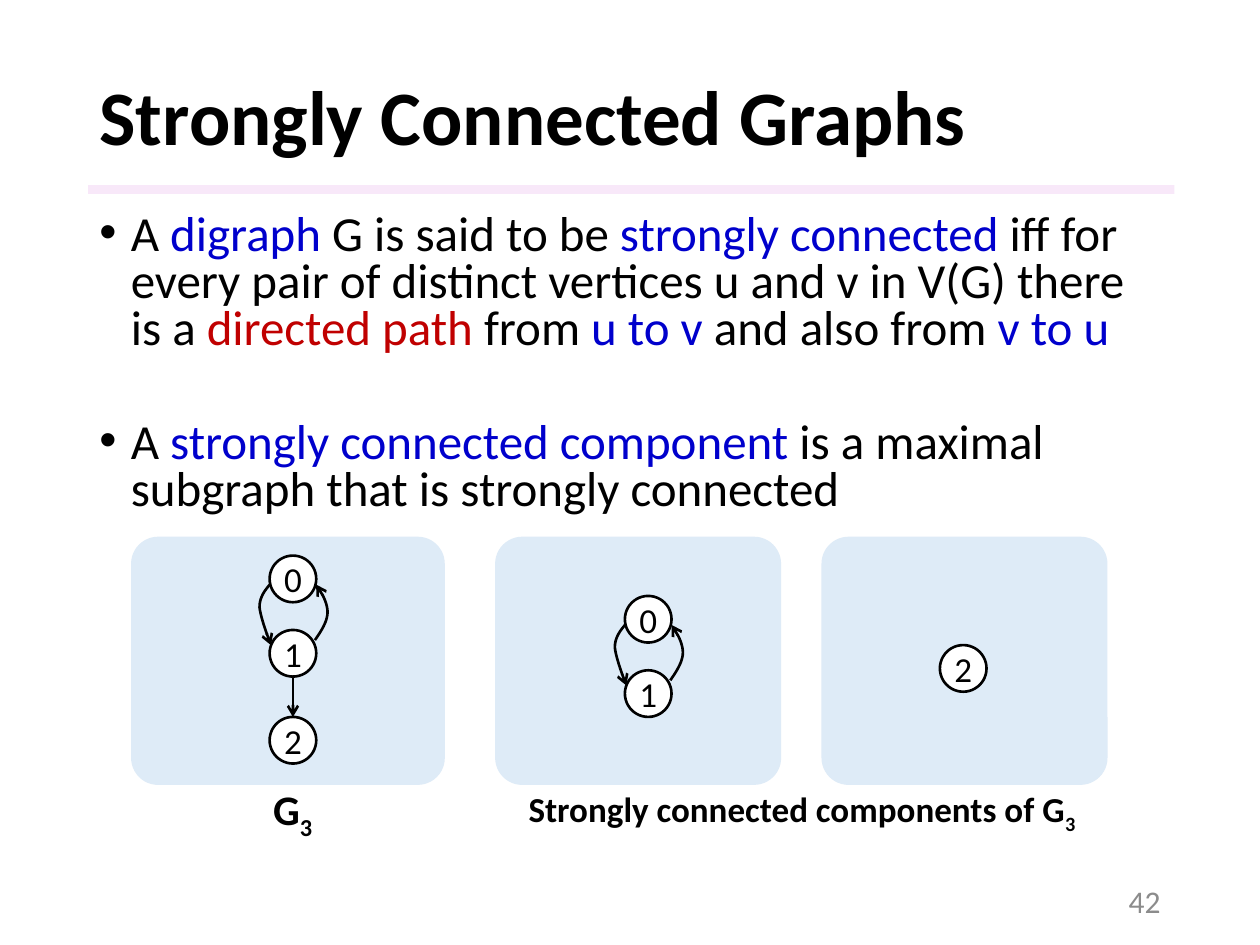
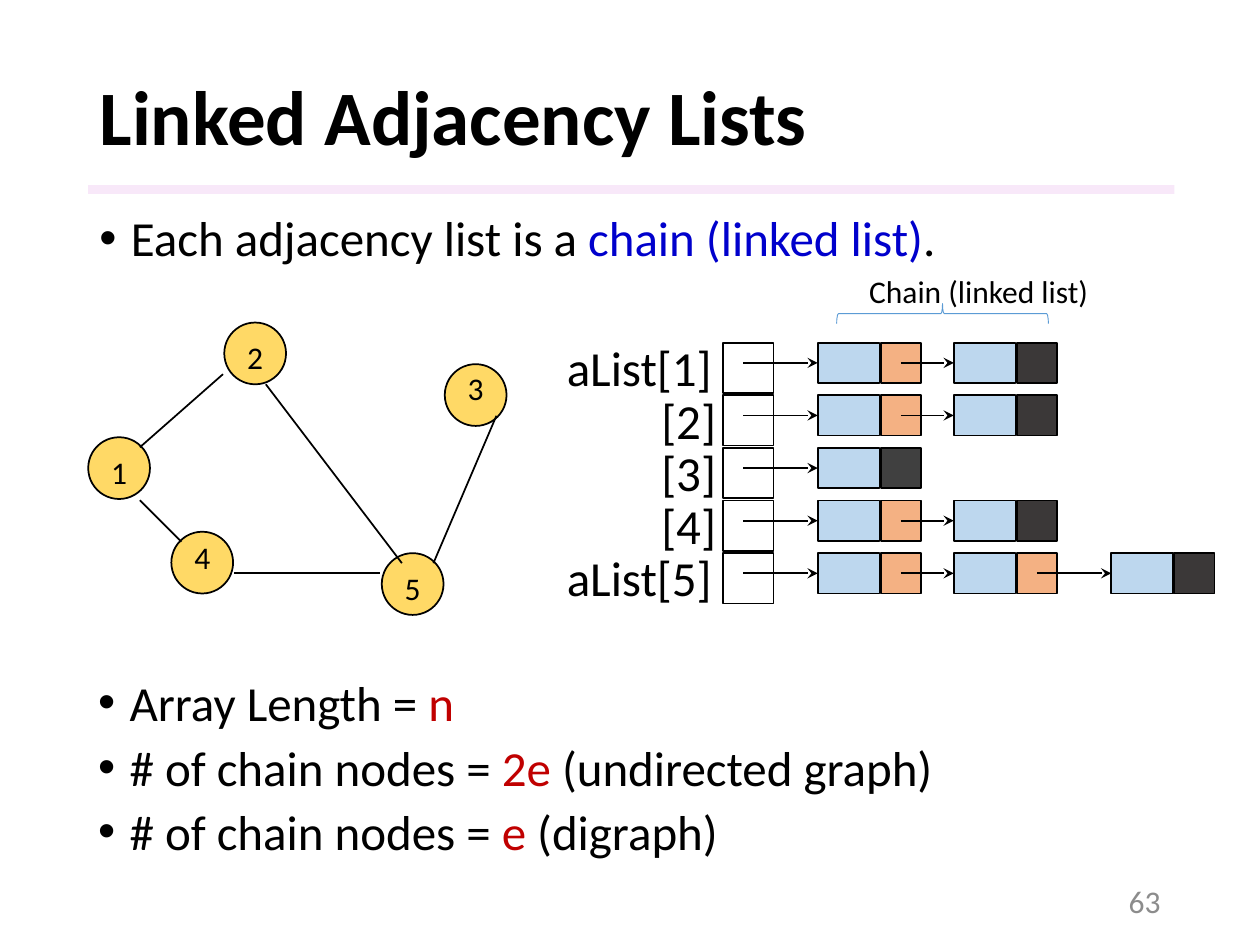
from lxml import etree
from pptx import Presentation
from pptx.dml.color import RGBColor
from pptx.enum import shapes, text
from pptx.oxml import ns
from pptx.util import Inches, Pt

FONT = "Calibri"
COLORS = {
    "ink": "000000", "blue": "0000CC", "red": "C00000", "gray": "8C8C8C",
    "band": "F3D2F4", "card": "DEEBF7", "white": "FFFFFF", "vertex": "FFD966",
    "data": "BDD7EE", "link": "F4B183", "end": "3B3838", "lone end": "404040",
    "brace": "5B9BD5",
}
SHAPE = shapes.MSO_SHAPE
ALIGN = text.PP_ALIGN
ANCHOR = text.MSO_ANCHOR


def rgb(name):
    return RGBColor.from_string(COLORS[name])


def sub_element(parent, tag, **attributes):
    return etree.SubElement(parent, ns.qn(tag), **attributes)


# Text
def style_font(font, size, color="ink", bold=False):
    font.name, font.size, font.bold = FONT, Pt(size), bold
    font.color.rgb = rgb(color)


def fill_paragraph(para, spans, size, color="ink", bold=False, align=None):
    """Spans are strings or (string, color); the color "sub" means subscript."""
    para.alignment = align
    style_font(para.font, size, color, bold)
    for item in [spans] if isinstance(spans, str) else spans:
        words, style = (item, None) if isinstance(item, str) else item
        span = para.add_run()
        span.text = words
        if style == "sub":
            span._r.get_or_add_rPr().set("baseline", "-25000")
        elif style:
            span.font.color.rgb = rgb(style)


def add_text(page, left, top, width, height, spans, size, wrap=True,
             anchor=ANCHOR.TOP, **style):
    box = page.shapes.add_textbox(*map(Inches, (left, top, width, height)))
    frame = box.text_frame
    frame.word_wrap, frame.vertical_anchor = wrap, anchor
    fill_paragraph(frame.paragraphs[0], spans, size, **style)


def add_bullets(page, left, top, height, items, line_spacing, gap=10):
    box = page.shapes.add_textbox(*map(Inches, (left, top, 8.62, height)))
    frame = box.text_frame
    frame.word_wrap = True
    for index, spans in enumerate(items):
        para = frame.add_paragraph() if index else frame.paragraphs[0]
        props = para._p.get_or_add_pPr()
        props.set("marL", str(Inches(0.25)))
        props.set("indent", str(-Inches(0.25)))
        sub_element(props, "a:buFont", typeface="Arial")
        sub_element(props, "a:buChar", char="•")
        para.line_spacing = line_spacing
        para.space_before = Pt(gap if index else 0)
        fill_paragraph(para, spans, 28)


# Shapes and lines
def add_block(page, kind, left, top, width, height, fill=None, line=None,
              weight=1, label=""):
    block = page.shapes.add_shape(kind, *map(Inches, (left, top, width, height)))
    block.shadow.inherit = False
    if fill:
        block.fill.solid()
        block.fill.fore_color.rgb = rgb(fill)
    else:
        block.fill.background()
    if line:
        block.line.color.rgb, block.line.width = rgb(line), Pt(weight)
    else:
        block.line.fill.background()
    if label:
        frame = block.text_frame
        frame.margin_left = frame.margin_right = 0
        frame.vertical_anchor, frame.word_wrap = ANCHOR.MIDDLE, False
        fill_paragraph(frame.paragraphs[0], label, 20, align=ALIGN.CENTER)
    return block


def style_line(shape, weight, head):
    shape.line.color.rgb, shape.line.width = rgb("ink"), Pt(weight)
    if head:
        sub_element(shape.line._get_or_add_ln(), "a:tailEnd", type=head)


def add_line(page, start, finish, weight=1, head=None):
    line = page.shapes.add_connector(shapes.MSO_CONNECTOR.STRAIGHT,
                                     *map(Inches, (*start, *finish)))
    style_line(line, weight, head)
    sub_element(line._element.spPr, "a:effectLst")


def add_curve(page, left, top, points, steps=10):
    """Draw joined cubic curves through points given from (left, top)."""
    track = [points[0]]
    for first in range(0, len(points) - 1, 3):
        knots = points[first:first + 4]
        for step in range(1, steps + 1):
            t = step / steps
            weights = ((1 - t) ** 3, 3 * t * (1 - t) ** 2, 3 * t * t * (1 - t), t ** 3)
            track.append(tuple(sum(w * knot[axis] for w, knot in zip(weights, knots))
                               for axis in (0, 1)))
    track = [(Inches(left + x), Inches(top + y)) for x, y in track]
    builder = page.shapes.build_freeform(*track[0])
    builder.add_line_segments(track[1:], close=False)
    curve = builder.convert_to_shape()
    curve.shadow.inherit = False
    curve.fill.background()
    style_line(curve, 1.5, "arrow")


# Frame shared by the slides
def add_page(deck, title, number):
    page = deck.slides.add_slide(deck.slide_layouts[5])
    band = add_block(page, SHAPE.RECTANGLE, 0.7, 1.47, 8.62, 0.07, "band")
    color = band._element.spPr.find(".//" + ns.qn("a:srgbClr"))
    sub_element(color, "a:alpha", val="50000")

    heading = page.shapes.title
    heading.left, heading.top, heading.width, heading.height = map(
        Inches, (0.69, 0.4, 8.62, 1.11))
    frame = heading.text_frame
    frame.auto_size = text.MSO_AUTO_SIZE.NONE
    frame.vertical_anchor = ANCHOR.MIDDLE
    frame.paragraphs[0].line_spacing = 0.9
    fill_paragraph(frame.paragraphs[0], title, 44, bold=True, align=ALIGN.LEFT)

    add_text(page, 7.06, 6.95, 2.25, 0.4, number, 18, color="gray",
             anchor=ANCHOR.MIDDLE, align=ALIGN.RIGHT)
    return page


# Strongly connected graphs
NODE = 0.37
DOWN_CURVE = [(0, 0.23), (-0.04, 0.28), (-0.08, 0.33), (-0.08, 0.41),
              (-0.07, 0.49), (-0.03, 0.6), (0.01, 0.71)]
UP_CURVE = [(0.36, 0.67), (0.41, 0.6), (0.46, 0.52), (0.46, 0.45),
            (0.46, 0.38), (0.42, 0.3), (0.37, 0.23)]


def draw_graph_card(page, left, width, node_left, node_tops):
    top = 4.26
    card = add_block(page, SHAPE.ROUNDED_RECTANGLE, left, top, width, 1.97, "card")
    card.adjustments[0] = 0.109
    x = left + node_left
    for label, offset in node_tops.items():
        add_block(page, SHAPE.OVAL, x, top + offset, NODE, NODE, "white", "ink",
                  1.5, label)
    if "0" in node_tops:
        for points in (UP_CURVE, DOWN_CURVE):
            add_curve(page, x, top + node_tops["0"], points)
    if "1" in node_tops and "2" in node_tops:
        middle = x + NODE / 2
        add_line(page, (middle, top + node_tops["1"] + NODE),
                 (middle, top + node_tops["2"]), 1.5, "arrow")


def build_connected_graphs(deck):
    page = add_page(deck, "Strongly Connected Graphs", "42")
    add_bullets(page, 0.69, 1.65, 2.61, [
        ["A ", ("digraph", "blue"), " G is said to be ",
         ("strongly connected ", "blue"),
         "iff for every pair of distinct vertices u and v in V(G) there is a ",
         ("directed path ", "red"), "from", (" u to v ", "blue"),
         "and also from", (" v to u", "blue")],
        ["A ", ("strongly connected component ", "blue"),
         "is a maximal subgraph that is strongly connected"],
    ], 0.8, gap=38)
    draw_graph_card(page, 1.04, 2.49, 1.1, {"0": 0.15, "1": 0.74, "2": 1.43})
    draw_graph_card(page, 3.93, 2.27, 1.03, {"0": 0.47, "1": 1.06})
    draw_graph_card(page, 6.52, 2.27, 0.94, {"2": 0.86})
    add_text(page, 2.07, 6.17, 0.53, 0.5, ["G", ("3", "sub")], 24, wrap=False,
             bold=True)
    add_text(page, 3.93, 6.2, 4.87, 0.44,
             ["Strongly connected components of G", ("3", "sub")], 20,
             bold=True, align=ALIGN.CENTER)


# Linked adjacency lists
def draw_vertex_graph(page, left, top):
    # label: circle left, circle top, drop of the label
    vertices = {"1": (0, 0.91, 0.08), "2": (1.08, 0, 0.07), "3": (2.83, 0.33, -0.01),
                "4": (0.66, 1.66, 0), "5": (2.33, 1.83, 0.08)}
    edges = [(1.07, 0.41, 0.41, 0.99), (1.41, 0.49, 2.49, 1.91),
             (0.41, 1.41, 0.74, 1.74), (3.24, 0.74, 2.74, 1.91),
             (1.16, 1.99, 2.32, 1.99)]
    for x, y, _ in vertices.values():
        add_block(page, SHAPE.OVAL, left + x, top + y, 0.49, 0.49, "vertex", "ink")
    for x1, y1, x2, y2 in edges:
        add_line(page, (left + x1, top + y1), (left + x2, top + y2))
    for label, (x, y, drop) in vertices.items():
        add_text(page, left + x, top + y + drop, 0.49, 0.43, label, 18,
                 align=ALIGN.CENTER)


def draw_chain(page, left, top, length):
    """Draw one array cell at (left, top) and the chain it points to."""
    add_block(page, SHAPE.RECTANGLE, left, top, 0.4, 0.4, "white", "ink")
    middle, tail = top + 0.16, left + 0.16
    for index, offset in enumerate((0.75, 1.83, 3.08)[:length]):
        x = left + offset
        link = "link"
        if index == length - 1:
            link = "end" if index else "lone end"
        add_block(page, SHAPE.RECTANGLE, x, top, 0.49, 0.32, "data", "ink")
        add_block(page, SHAPE.RECTANGLE, x + 0.5, top, 0.32, 0.32, link, "ink")
        add_line(page, (tail, middle), (x, middle), head="stealth")
        tail = x + 0.66


def draw_adjacency_array(page, left, top):
    chain_lengths = {"aList[1]": 2, "[2]": 2, "[3]": 1, "[4]": 2, "aList[5]": 3}
    for index, (label, length) in enumerate(chain_lengths.items()):
        y = top + index * 1.67 / 4
        label_left, width = (1.34, 1.5) if label.startswith("aList") else (0.59, 0.67)
        add_text(page, left - label_left, y - 0.09, width, 0.57, label, 28, wrap=False)
        draw_chain(page, left, y, length)
    # Caption and brace over the first chain
    add_text(page, left + 1.06, top - 0.61, 1.96, 0.4, "Chain (linked list)", 18,
             wrap=False)
    brace = add_block(page, SHAPE.LEFT_BRACE, left + 1.66, top - 1.07, 0.16, 1.68,
                      line="brace", weight=0.5)
    brace.rotation = 90


def build_adjacency_lists(deck):
    page = add_page(deck, "Linked Adjacency Lists", "63")
    add_bullets(page, 0.69, 1.65, 0.6, [
        ["Each adjacency list is a ", ("chain (linked list)", "blue"), "."]], 0.9)
    draw_vertex_graph(page, 0.7, 2.56)
    draw_adjacency_array(page, 5.74, 2.72)
    add_bullets(page, 0.68, 5.38, 1.55, [
        ["Array Length = ", ("n", "red")],
        ["# of chain nodes = ", ("2e", "red"), " (undirected graph)"],
        ["# of chain nodes = ", ("e", "red"), " (digraph)"]], 0.8)


def main():
    deck = Presentation()
    deck.slide_width, deck.slide_height = Inches(10), Inches(7.5)
    build_connected_graphs(deck)
    build_adjacency_lists(deck)
    deck.save("out.pptx")


if __name__ == "__main__":
    main()
